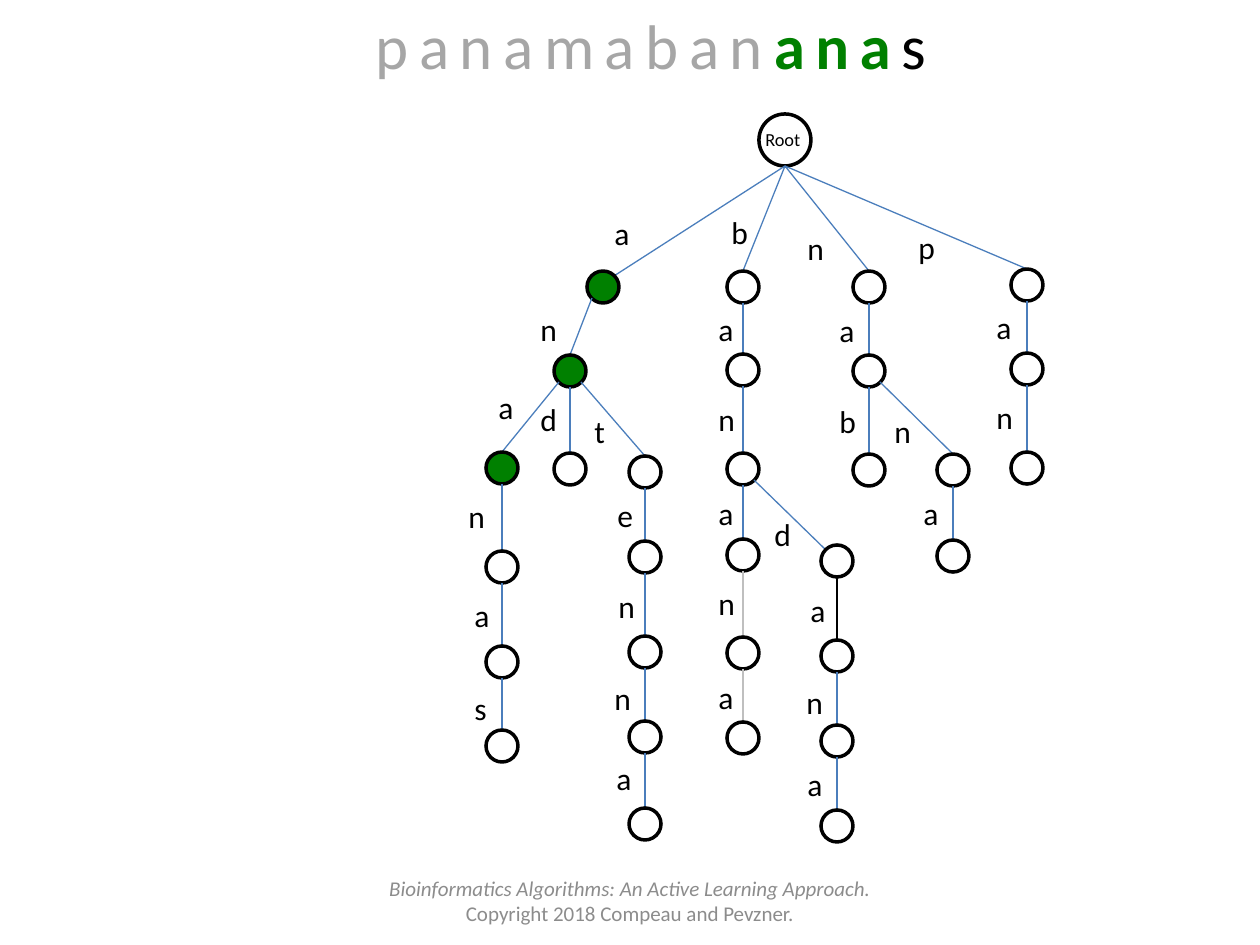
from collections import namedtuple
from dataclasses import dataclass

from pptx import Presentation
from pptx import util as u
from pptx.dml.color import RGBColor
from pptx.enum import shapes, text
from pptx.oxml.ns import qn

PX = 914400 // 126


@dataclass(frozen=True)
class Theme:
    font: str = "Calibri"
    black: str = "000000"
    white: str = "FFFFFF"
    match: str = "008000"
    edge: str = "4B7EBC"
    faint: str = "BFBFBF"
    read: str = "A6A6A6"
    footer: str = "8C8C8C"
    title_size: float = 36
    label_size: float = 18
    footer_size: float = 12
    root_size: float = 10.5
    ring: float = 2
    thin: float = 0.75


T = Theme()
Node = namedtuple("Node", "x y label_x label_y")

MATCH = "ana"
ROOT = (785, 140)
ROOT_RADIUS = 26
RADIUS = 16
LABEL_HEIGHT = 50
LABEL_WIDTHS = {"a": 40, "e": 42, "s": 38, "t": 37}

# Each key spells the path from the root, so its parent is the key without its last letter.
TRIE = {
    "a": Node(603, 287, 602, 208),
    "an": Node(570, 371, 528, 304),
    "and": Node(570, 469, 528, 394),
    "ana": Node(502, 468, 486, 382),
    "anan": Node(502, 567, 456, 491),
    "anana": Node(502, 662, 462, 590),
    "ananas": Node(502, 746, 462, 683),
    "ant": Node(645, 472, 582, 406),
    "ante": Node(645, 557, 605, 490),
    "anten": Node(645, 652, 606, 581),
    "antenn": Node(645, 737, 602, 673),
    "antenna": Node(645, 824, 604, 753),
    "b": Node(743, 287, 719, 207),
    "ba": Node(743, 370, 706, 304),
    "ban": Node(743, 469, 706, 394),
    "bana": Node(743, 555, 706, 488),
    "banan": Node(743, 653, 706, 578),
    "banana": Node(743, 738, 706, 672),
    "band": Node(837, 561, 762, 509),
    "banda": Node(837, 656, 798, 585),
    "bandan": Node(837, 741, 794, 677),
    "bandana": Node(837, 826, 795, 759),
    "n": Node(869, 287, 795, 223),
    "na": Node(869, 371, 827, 305),
    "nab": Node(869, 470, 827, 396),
    "nan": Node(953, 470, 882, 406),
    "nana": Node(953, 556, 911, 488),
    "p": Node(1027, 285, 906, 222),
    "pa": Node(1027, 369, 984, 302),
    "pan": Node(1027, 468, 984, 392),
}
EDGE_COLORS = {"banan": T.faint, "banana": T.faint, "banda": T.black}
# Edges that meet their child at an upper corner instead of the top: -1 left, 1 right.
CORNER_ENDS = {"a": 1, "band": -1}


def px(*lengths):
    return [n * PX for n in lengths]


def add_circle(s, center, radius, fill):
    x, y = center
    sp = s.shapes.add_shape(shapes.MSO_SHAPE.OVAL,
                            *px(x - radius, y - radius, 2 * radius, 2 * radius))
    sp.shadow.inherit = False
    sp.fill.solid()
    sp.fill.fore_color.rgb = RGBColor.from_string(fill)
    sp.line.color.rgb = RGBColor.from_string(T.black)
    sp.line.width = u.Pt(T.ring)


def add_text(s, box, paragraphs, size, wrap=True, align=None, **frame):
    """Add a text box; each paragraph is a list of (text, colour, font attributes)."""
    tf = s.shapes.add_textbox(*px(*box)).text_frame
    frame = {"word_wrap": wrap, "auto_size": text.MSO_AUTO_SIZE.SHAPE_TO_FIT_TEXT, **frame}
    for name, value in frame.items():
        setattr(tf, name, value)
    for i, runs in enumerate(paragraphs):
        p = tf.add_paragraph() if i else tf.paragraphs[0]
        p.alignment = align
        for words, color, attrs in runs:
            r = p.add_run()
            r.text = words
            r.font.color.rgb = RGBColor.from_string(color)
            for name, value in {"name": T.font, "size": u.Pt(size), **attrs}.items():
                setattr(r.font, name, value)
    return tf


def rim_point(x, y, side, down):
    """Point of a node's circle: middle (side 0) or corner (side -1 or 1), below or above."""
    reach = round(RADIUS * 0.7) if side else RADIUS
    return x + side * reach, y + down * reach


def add_edge(s, word):
    node = TRIE[word]
    parent = TRIE.get(word[:-1])
    if parent:
        side = (node.x > parent.x) - (node.x < parent.x)
        start = rim_point(parent.x, parent.y, side, 1)
    else:
        start = ROOT[0], ROOT[1] + ROOT_RADIUS
    end = rim_point(node.x, node.y, CORNER_ENDS.get(word, 0), -1)
    line = s.shapes.add_connector(shapes.MSO_CONNECTOR.STRAIGHT, *px(*start, *end))
    line.line.color.rgb = RGBColor.from_string(EDGE_COLORS.get(word, T.edge))
    line.line.width = u.Pt(T.thin)
    sp_pr = line._element.spPr
    sp_pr.append(sp_pr.makeelement(qn("a:effectLst"), {}))


def add_node(s, word):
    node, letter = TRIE[word], word[-1]
    fill = T.match if MATCH.startswith(word) else T.white
    add_circle(s, (node.x, node.y), RADIUS, fill)
    box = node.label_x, node.label_y, LABEL_WIDTHS.get(letter, 43), LABEL_HEIGHT
    add_text(s, box, [[(letter, T.black, {})]], T.label_size, wrap=False)


def add_root(s):
    add_circle(s, ROOT, ROOT_RADIUS, T.white)
    add_text(s, (753, 122, 69, 35), [[("Root", T.black, {})]], T.root_size)


def add_title(s):
    runs = [("panamaban", T.read, {}), (MATCH, T.match, {"bold": True}), ("s", T.black, {})]
    tf = add_text(s, (336, 0, 630, 89), [runs], T.title_size, align=text.PP_ALIGN.CENTER)
    for r in tf.paragraphs[0].runs:
        r._r.get_or_add_rPr().set("spc", "600")


def add_footer(s):
    lines = [
        [("Bioinformatics Algorithms: An Active Learning Approach.", T.footer, {"italic": True})],
        [("Copyright 2018 Compeau and Pevzner.", T.footer, {})],
    ]
    add_text(s, (357, 876, 546, 50), lines, T.footer_size, align=text.PP_ALIGN.CENTER,
             auto_size=text.MSO_AUTO_SIZE.NONE, vertical_anchor=text.MSO_ANCHOR.MIDDLE)


def main():
    prs = Presentation()
    prs.slide_width, prs.slide_height = px(1260, 945)
    s = prs.slides.add_slide(prs.slide_layouts[6])
    add_root(s)
    for word in TRIE:
        add_edge(s, word)
        add_node(s, word)
    add_title(s)
    add_footer(s)
    prs.save("out.pptx")


if __name__ == "__main__":
    main()
